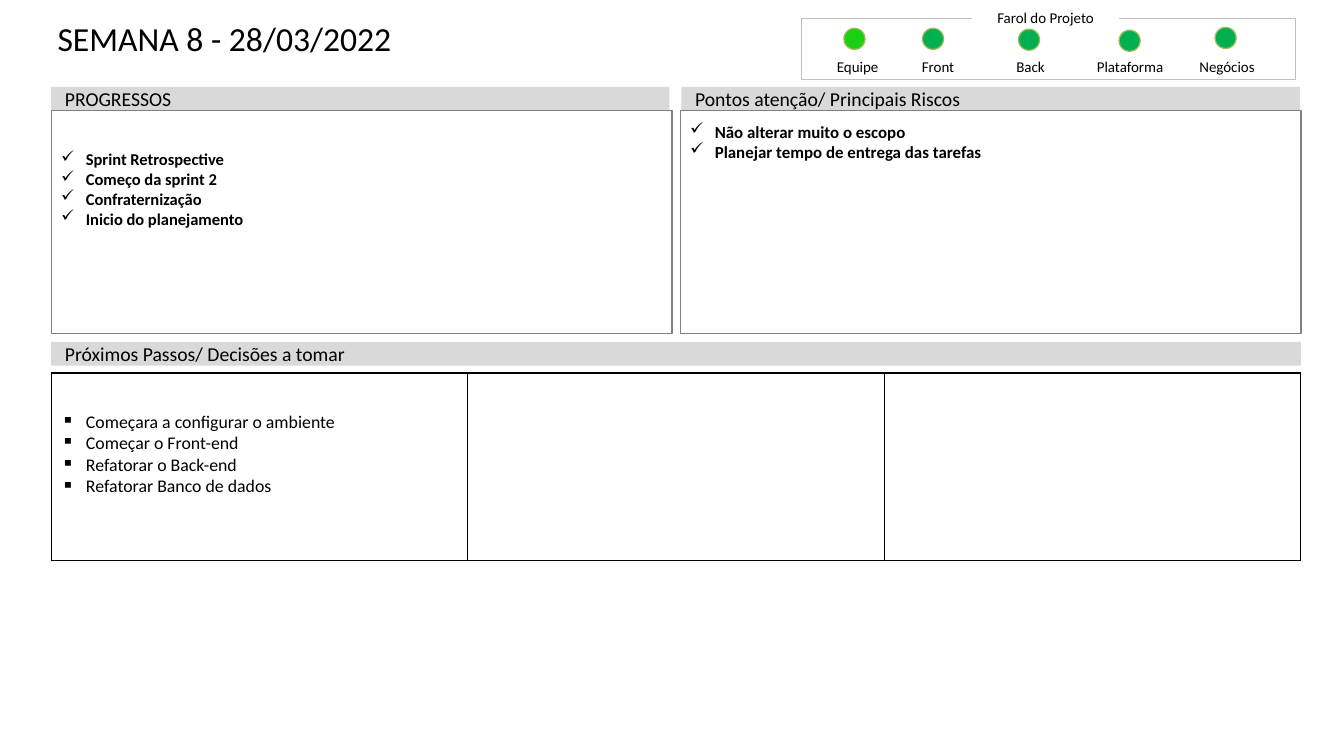
from dataclasses import dataclass

import lxml.etree
import pptx
import pptx.dml.color
import pptx.enum.shapes
import pptx.enum.text
import pptx.oxml.ns
import pptx.shapes.autoshape
import pptx.slide
import pptx.text.text
import pptx.util

Pt = pptx.util.Pt
qn = pptx.oxml.ns.qn
Anchor = pptx.enum.text.MSO_ANCHOR
Align = pptx.enum.text.PP_ALIGN
Kind = pptx.enum.shapes.MSO_SHAPE
Frame = pptx.text.text.TextFrame
Shape = pptx.shapes.autoshape.Shape


@dataclass(frozen=True)
class Theme:
    font: str = "Calibri"
    ink: str = "000000"
    white: str = "FFFFFF"
    bar: str = "D9D9D9"
    edge: str = "808080"
    frame: str = "BFBFBF"
    rim: str = "9BBB59"
    green: str = "00B050"
    lime: str = "1BCF13"
    title: float = 26.5
    head: float = 15.5
    step: float = 14
    label: float = 11.8


@dataclass(frozen=True)
class Box:
    left: float
    top: float
    width: float
    height: float


@dataclass(frozen=True)
class Panel:
    box: Box
    inset: float
    size: float
    items: list[str]


@dataclass(frozen=True)
class Light:
    name: str
    left: float
    top: float
    text_left: float
    color: str


THEME = Theme()
LEFT, WIDE = 40.3, 984.2
HALF, PANEL_TOP, PANEL_TALL = 488.9, 87.1, 175.7
RIGHT = LEFT + WIDE - HALF
BAR_TALL = 18.7
COLS, TABLE_TOP, TABLE_TALL = 3, 293.8, 148
DOT = 16.6

BARS = [
    ("PROGRESSOS", Box(LEFT, 68.4, 486.9, BAR_TALL)),
    ("Pontos atenção/ Principais Riscos", Box(536.6, 68.4, 487.4, BAR_TALL)),
    ("Próximos Passos/ Decisões a tomar", Box(LEFT, 269.3, WIDE, BAR_TALL)),
]
PANELS = [
    Panel(Box(LEFT, PANEL_TOP, HALF, PANEL_TALL), 30.6, 13,
          ["Sprint Retrospective", "Começo da sprint 2", "Confraternização",
           "Inicio do planejamento"]),
    Panel(Box(RIGHT, PANEL_TOP, HALF, PANEL_TALL), 8.6, 13.3,
          ["Não alterar muito o escopo", "Planejar tempo de entrega das tarefas"]),
]
STEPS = ["Começara a configurar o ambiente", "Começar o Front-end",
         "Refatorar o Back-end", "Refatorar Banco de dados"]
LIGHTS = [
    Light("Equipe", 664.6, 22.3, 640.1, THEME.lime),
    Light("Front", 726.5, 22.3, 703.4, THEME.green),
    Light("Back", 802.1, 23, 776.2, THEME.green),
    Light("Plataforma", 881.3, 23.8, 854.6, THEME.green),
    Light("Negócios", 956.9, 21.6, 931, THEME.green),
]


def rgb(color: str) -> pptx.dml.color.RGBColor:
    return pptx.dml.color.RGBColor.from_string(color)


def place(box: Box) -> list[int]:
    return [Pt(n) for n in (box.left, box.top, box.width, box.height)]


def draw(slide: pptx.slide.Slide, kind: Kind, box: Box, fill: str = "",
         line: str = "", width: float = 1) -> Shape:
    shape = slide.shapes.add_shape(kind, *place(box))
    shape.shadow.inherit = False
    if fill:
        shape.fill.solid()
        shape.fill.fore_color.rgb = rgb(fill)
    else:
        shape.fill.background()
    if line:
        shape.line.color.rgb = rgb(line)
        shape.line.width = Pt(width)
    else:
        shape.line.fill.background()
    return shape


def inset(frame: Frame, left: float, top: float, base: float) -> None:
    frame.margin_left = frame.margin_right = Pt(left)
    frame.margin_top, frame.margin_bottom = Pt(top), Pt(base)


def write(frame: Frame, text: str, size: float, bold: bool = False,
          align: Align = Align.LEFT) -> None:
    frame.text = text
    for para in frame.paragraphs:
        para.alignment = align
        for run in para.runs:
            run.font.name, run.font.size = THEME.font, Pt(size)
            run.font.bold = bold
            run.font.color.rgb = rgb(THEME.ink)


def bullet(frame: Frame, mark: str) -> None:
    for para in frame.paragraphs:
        props = para._p.get_or_add_pPr()
        props.set("marL", str(Pt(20.2)))
        props.set("indent", str(-Pt(19.4)))
        tint = lxml.etree.SubElement(props, qn("a:buClr"))
        lxml.etree.SubElement(tint, qn("a:srgbClr"), val=THEME.ink)
        lxml.etree.SubElement(props, qn("a:buChar"), char=mark)


def label(frame: Frame, text: str) -> None:
    """Write centred text that sits on the base of its box."""
    inset(frame, 4.3, 4.3, 0)
    frame.word_wrap = False
    frame.vertical_anchor = Anchor.BOTTOM
    write(frame, text, THEME.label, align=Align.CENTER)


def add_title(slide: pptx.slide.Slide) -> None:
    title = slide.shapes.title
    title.left, title.top, title.width, title.height = place(
        Box(36.7, 14.4, 952.6, 62.6))
    frame = title.text_frame
    inset(frame, 8.6, 0, 0)
    frame.auto_size = pptx.enum.text.MSO_AUTO_SIZE.NONE
    frame.vertical_anchor = Anchor.TOP
    write(frame, "SEMANA 8 - 28/03/2022", THEME.title)


def add_bar(slide: pptx.slide.Slide, text: str, box: Box) -> None:
    frame = draw(slide, Kind.RECTANGLE, box, fill=THEME.bar).text_frame
    inset(frame, 10.8, 5, 5)
    frame.vertical_anchor = Anchor.MIDDLE
    write(frame, text, THEME.head)


def add_panel(slide: pptx.slide.Slide, panel: Panel) -> None:
    frame = draw(slide, Kind.RECTANGLE, panel.box, line=THEME.edge).text_frame
    inset(frame, 7.2, panel.inset, 3.6)
    frame.vertical_anchor = Anchor.TOP
    write(frame, "\n".join(panel.items), panel.size, bold=True)
    bullet(frame, "✓")


def add_steps(slide: pptx.slide.Slide) -> None:
    box = Box(LEFT, TABLE_TOP, WIDE, TABLE_TALL)
    table = slide.shapes.add_table(1, COLS, *place(box)).table
    table.first_row = table.horz_banding = False
    for cell in table.iter_cells():
        props = cell._tc.get_or_add_tcPr()
        for side in ("a:lnL", "a:lnR", "a:lnT", "a:lnB"):
            line = lxml.etree.SubElement(props, qn(side), w=str(Pt(1)))
            fill = lxml.etree.SubElement(line, qn("a:solidFill"))
            lxml.etree.SubElement(fill, qn("a:srgbClr"), val=THEME.ink)
        cell.fill.background()
    first = table.cell(0, 0)
    first.margin_top = Pt(30)
    write(first.text_frame, "\n".join(STEPS), THEME.step)
    bullet(first.text_frame, "▪")


def add_lights(slide: pptx.slide.Slide) -> None:
    draw(slide, Kind.RECTANGLE, Box(631.4, 14.4, 388.8, 48.2),
         line=THEME.frame, width=0.5)
    head = draw(slide, Kind.RECTANGLE, Box(765.4, 4.3, 115.9, 16.6),
                fill=THEME.white)
    label(head.text_frame, "Farol do Projeto")
    for light in LIGHTS:
        draw(slide, Kind.OVAL, Box(light.left, light.top, DOT, DOT),
             fill=light.color, line=THEME.rim)
        box = Box(light.text_left, 45.4, 70.6, 13.7)
        label(slide.shapes.add_textbox(*place(box)).text_frame, light.name)


def main() -> None:
    deck = pptx.Presentation()
    deck.slide_width, deck.slide_height = Pt(1058.4), Pt(595.44)
    slide = deck.slides.add_slide(deck.slide_layouts[5])
    add_title(slide)
    for text, box in BARS:
        add_bar(slide, text, box)
    for panel in PANELS:
        add_panel(slide, panel)
    add_steps(slide)
    add_lights(slide)
    deck.save("out.pptx")


if __name__ == "__main__":
    main()
